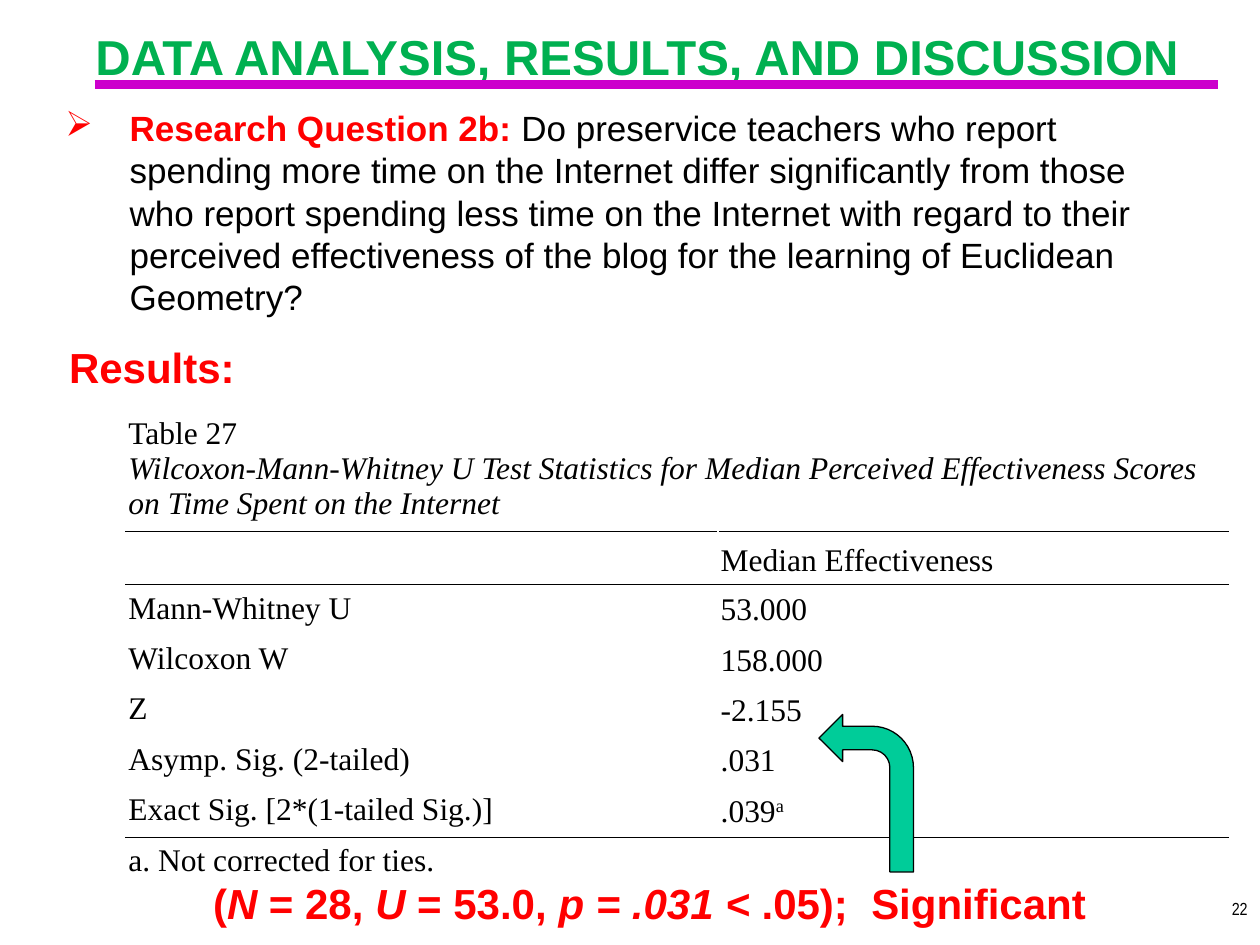
"""Build the slide with the Wilcoxon-Mann-Whitney results for research question 2b."""
from lxml import etree
from pptx import Presentation
from pptx.dml.color import RGBColor
from pptx.enum.shapes import MSO_CONNECTOR, MSO_SHAPE
from pptx.enum.text import MSO_ANCHOR, PP_ALIGN
from pptx.oxml.ns import qn
from pptx.util import Inches, Pt

LEFT, CENTER, RIGHT = PP_ALIGN.LEFT, PP_ALIGN.CENTER, PP_ALIGN.RIGHT
TOP, MIDDLE, BOTTOM = MSO_ANCHOR.TOP, MSO_ANCHOR.MIDDLE, MSO_ANCHOR.BOTTOM
STRAIGHT, BENT_ARROW = MSO_CONNECTOR.STRAIGHT, MSO_SHAPE.BENT_ARROW
COLORS = {"text": "000000", "paper": "FFFFFF", "accent": "FF0000",
          "title": "00B050", "rule": "CC00CC", "arrow": "00CC99"}


def rgb(name):
    return RGBColor.from_string(COLORS[name])


def add_bullet(p, char, color, indent):
    pPr = p._p.get_or_add_pPr()
    pPr.set("marL", str(indent))
    pPr.set("indent", str(-indent))
    clr = etree.SubElement(pPr, qn("a:buClr"))
    etree.SubElement(clr, qn("a:srgbClr"), val=COLORS[color])
    etree.SubElement(pPr, qn("a:buChar"), char=char)


def write(p, runs, size=18, font="Times New Roman", color="text", bold=False,
          align=LEFT, indent=0):
    """Fill a paragraph from a string or from (text, format) pairs."""
    p.alignment = align
    if indent:
        p._p.get_or_add_pPr().set("marL", str(indent))
    for text, fmt in [(runs, {})] if isinstance(runs, str) else runs:
        r = p.add_run()
        r.text = text
        r.font.size, r.font.name = Pt(size), font
        r.font.bold = fmt.get("bold", bold)
        r.font.italic = fmt.get("italic", False)
        r.font.color.rgb = rgb(fmt.get("color", color))
        if "baseline" in fmt:
            r._r.get_or_add_rPr().set("baseline", str(fmt["baseline"]))


class SlideBuilder:
    """Hold the style and the current slide."""

    def __init__(self, prs):
        self.s = prs.slides.add_slide(prs.slide_layouts[5])
        self.heading = {"font": "Arial", "bold": True, "color": "accent",
                        "size": 24, "indent": Inches(0.03)}

    def frame(self, sp, top=0.09):
        tf = sp.text_frame
        tf.word_wrap = True
        tf.vertical_anchor = TOP
        tf.margin_left = tf.margin_right = Inches(0.1)
        tf.margin_top, tf.margin_bottom = Inches(top), Inches(0.05)
        return tf

    def title(self, text, x, y, w, h):
        sp = self.s.shapes.title
        sp.left, sp.top, sp.width, sp.height = map(Inches, (x, y, w, h))
        style = {**self.heading, "size": 28, "color": "title"}
        write(self.frame(sp, 0.04).paragraphs[0], text, align=CENTER, **style)

    def text(self, runs, x, y, w, h, top=0.05, **fmt):
        sp = self.s.shapes.add_textbox(*map(Inches, (x, y, w, h)))
        p = self.frame(sp, top).paragraphs[0]
        write(p, runs, **fmt)
        return p

    def callout(self, runs, x, y, w, h, align=LEFT):
        self.text(runs, x, y, w, h, top=0.04, align=align, **self.heading)

    def bullet(self, runs, x, y, w, h):
        p = self.text(runs, x, y, w, h, size=20, font="Arial")
        add_bullet(p, "➢", "accent", Inches(0.51))
        p.line_spacing = Pt(24)

    def rule(self, x1, y1, x2, y2, color, width):
        ln = self.s.shapes.add_connector(STRAIGHT, *map(Inches, (x1, y1, x2, y2)))
        ln.line.color.rgb, ln.line.width = rgb(color), Pt(width)
        etree.SubElement(ln._element.spPr, qn("a:effectLst"))

    def arrow(self, x, y, w, h):
        sp = self.s.shapes.add_shape(BENT_ARROW, *map(Inches, (x, y, w, h)))
        sp._element.spPr.find(qn("a:xfrm")).set("flipH", "1")
        sp.shadow.inherit = False
        sp.fill.solid()
        sp.fill.fore_color.rgb = rgb("arrow")
        sp.line.color.rgb, sp.line.width = rgb("text"), Pt(0.75)

    def border(self, cell, side):
        ln = etree.SubElement(cell._tc.get_or_add_tcPr(), qn(f"a:ln{side}"),
                              w=str(Pt(0.45)))
        fill = etree.SubElement(ln, qn("a:solidFill"))
        etree.SubElement(fill, qn("a:srgbClr"), val=COLORS["text"])

    def table(self, caption, header, body, note, x, y, widths, heights, ruled_rows):
        rows = [(caption, ""), header, *body, ([note], "")]
        gf = self.s.shapes.add_table(len(rows), len(widths), Inches(x), Inches(y),
                                     Inches(sum(widths)), Inches(sum(heights)))
        tbl = gf.table
        tbl.first_row = tbl.horz_banding = False
        for col, w in zip(tbl.columns, widths):
            col.width = Inches(w)
        for row, h in zip(tbl.rows, heights):
            row.height = Inches(h)
        for i, values in enumerate(rows):
            for j, value in enumerate(values):
                cell = tbl.cell(i, j)
                cell.margin_left = cell.margin_right = Inches(0.02)
                cell.vertical_anchor = BOTTOM if i == 1 else MIDDLE if j or i == 0 else TOP
                if i - 1 in ruled_rows:
                    self.border(cell, "T")
                if i in ruled_rows:
                    self.border(cell, "B")
                cell.fill.solid()
                cell.fill.fore_color.rgb = rgb("paper")
                tf = cell.text_frame
                for k, runs in enumerate(value if isinstance(value, list) else [value]):
                    if runs:
                        write(tf.add_paragraph() if k else tf.paragraphs[0], runs)
        for i in (0, len(rows) - 1):
            tbl.cell(i, 0).merge(tbl.cell(i, 1))


def main():
    prs = Presentation()
    prs.slide_width, prs.slide_height = Inches(10), Inches(7.5)
    b = SlideBuilder(prs)
    italic = {"italic": True}
    b.title("DATA ANALYSIS, RESULTS, AND DISCUSSION", 0.33, 0.17, 9.42, 0.48)
    b.callout("Results:", 0.42, 2.67, 2, 0.48)
    b.table(
        caption=["Table 27",
                 [("Wilcoxon-Mann-Whitney U Test Statistics for Median Perceived "
                   "Effectiveness Scores on Time Spent on the Internet", italic)]],
        header=("", "Median Effectiveness"),
        body=[("Mann-Whitney U", "53.000"),
              ("Wilcoxon W", "158.000"),
              ("Z", "-2.155"),
              ("Asymp. Sig. (2-tailed)", ".031"),
              ("Exact Sig. [2*(1-tailed Sig.)]", [[(".039", {}), ("a", {"baseline": 30000})]])],
        note="a. Not corrected for ties.",
        x=1, y=3.22, widths=[4.7, 4.05],
        heights=[0.94, 0.42] + [0.37] * 2 + [0.34] * 4, ruled_rows=(0, 1, 6))
    b.callout([("(", {}), ("N", italic), (" = 28, ", {}), ("U", italic),
               (" = 53.0, ", {}), ("p = .031 <", italic),
               (" .05);  Significant", {})], 1, 6.92, 8.28, 0.48, align=CENTER)
    b.arrow(6.5, 5.67, 0.75, 1.25)
    b.text("22", 7.92, 7.08, 2.08, 0.42, size=10, font="Arial Narrow", align=RIGHT)
    b.bullet([("Research Question 2b: ", {"bold": True, "color": "accent"}),
              ("Do preservice teachers who report spending more time on the Internet "
               "differ significantly from those who report spending less time on the "
               "Internet with regard to their perceived effectiveness of the blog for "
               "the learning of Euclidean Geometry?", {})], 0.42, 0.8, 8.92, 1.77)
    b.rule(0.75, 0.67, 9.67, 0.67, "rule", 5)
    prs.save("out.pptx")


if __name__ == "__main__":
    main()
